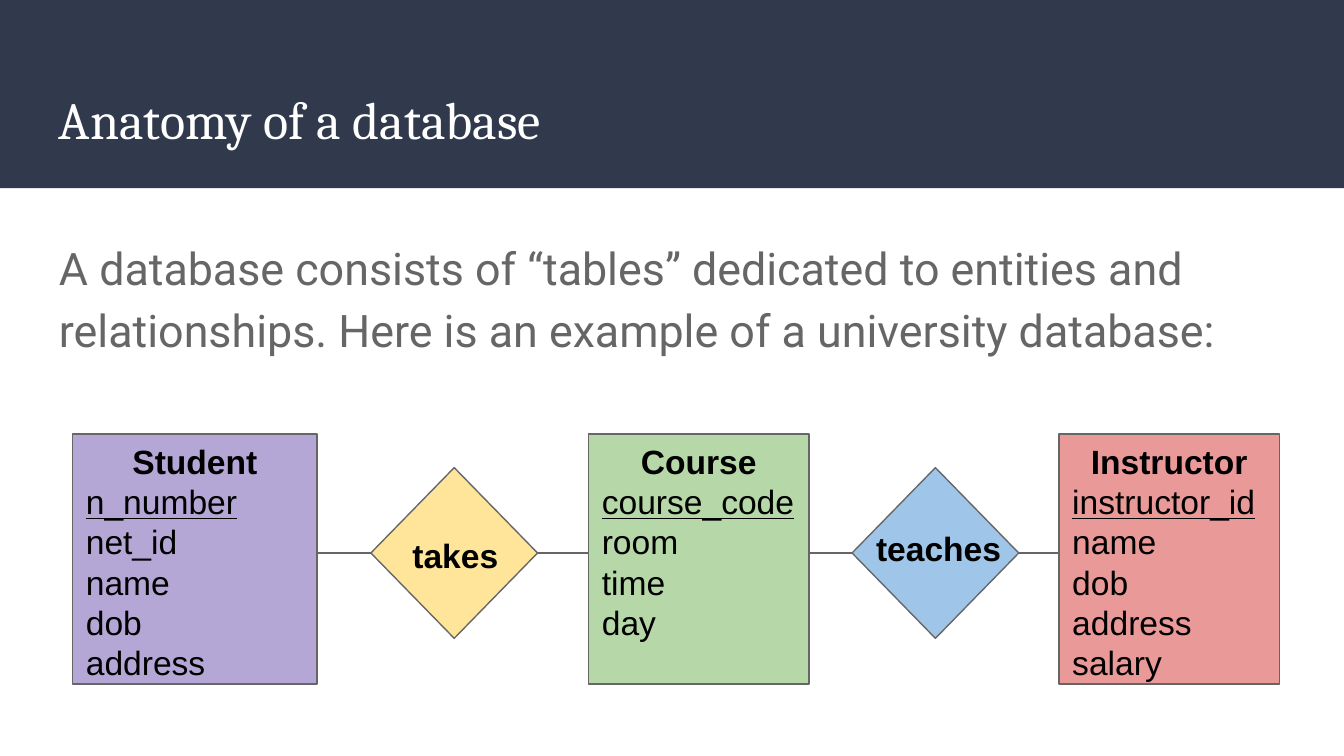
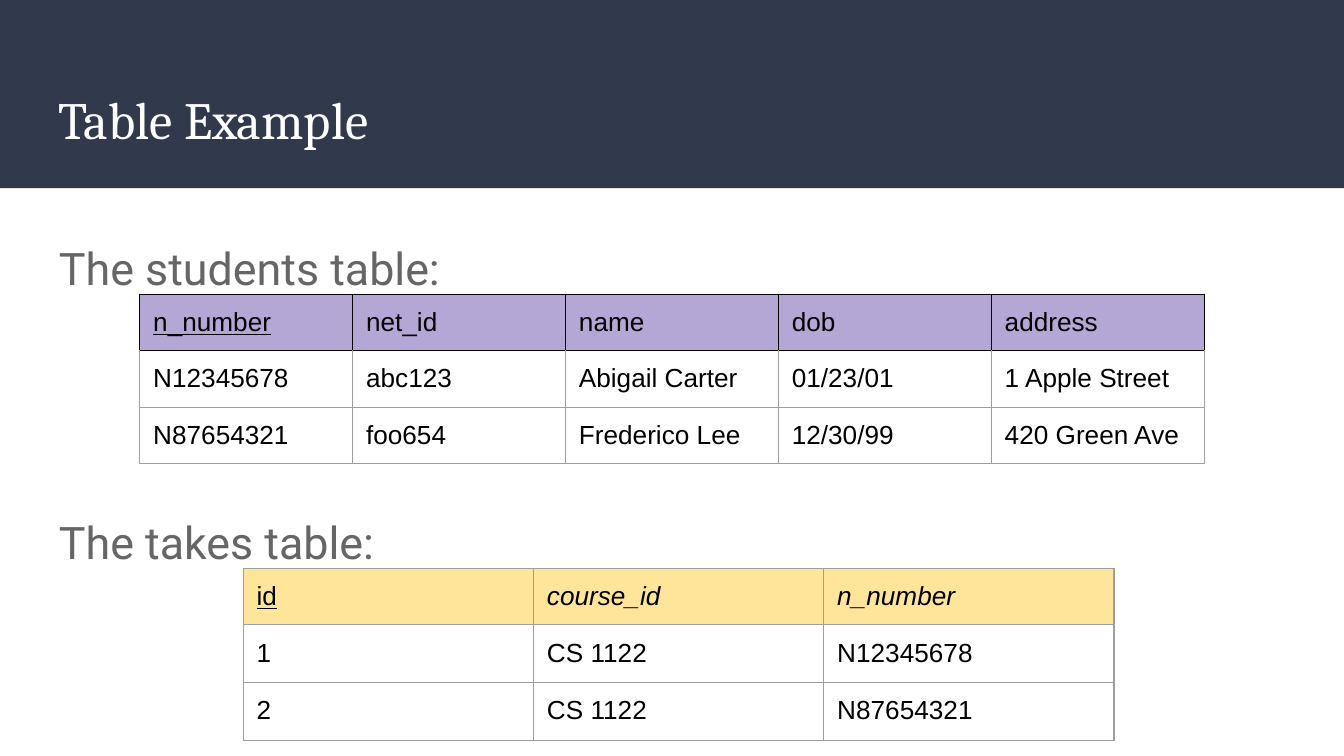
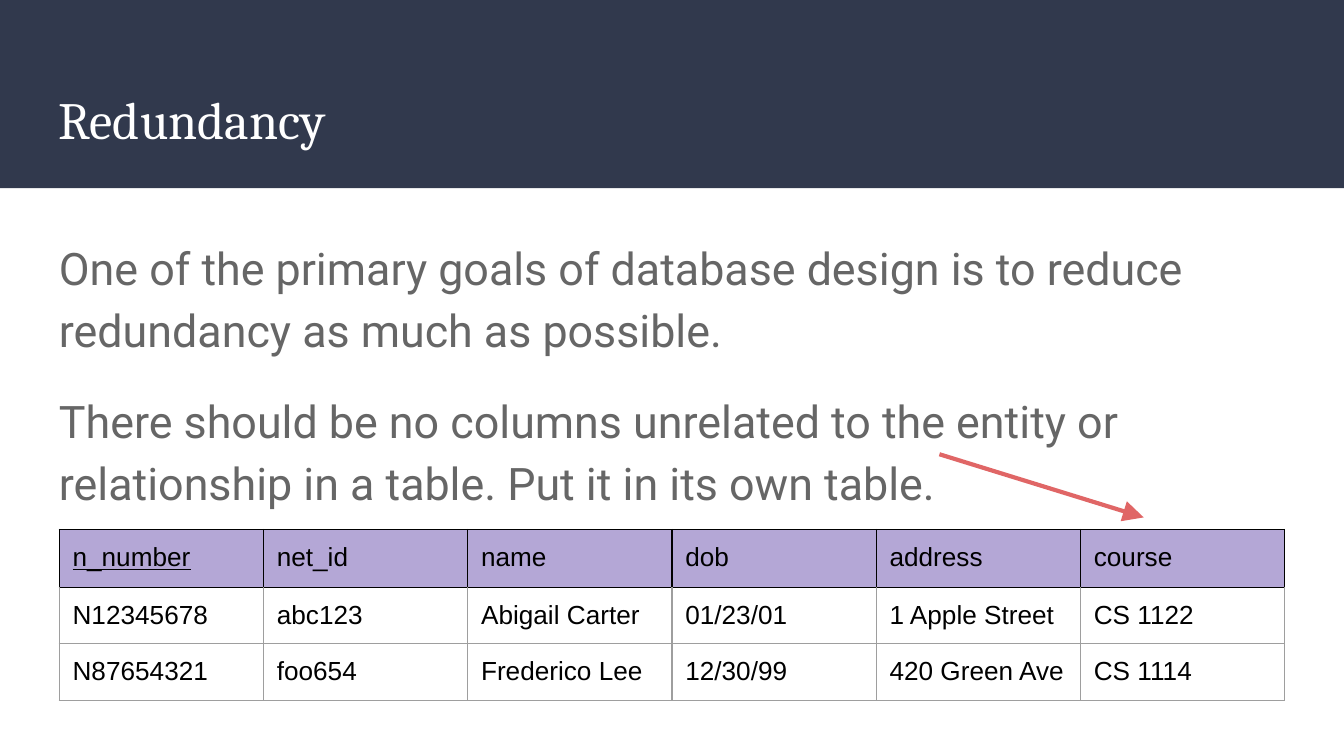
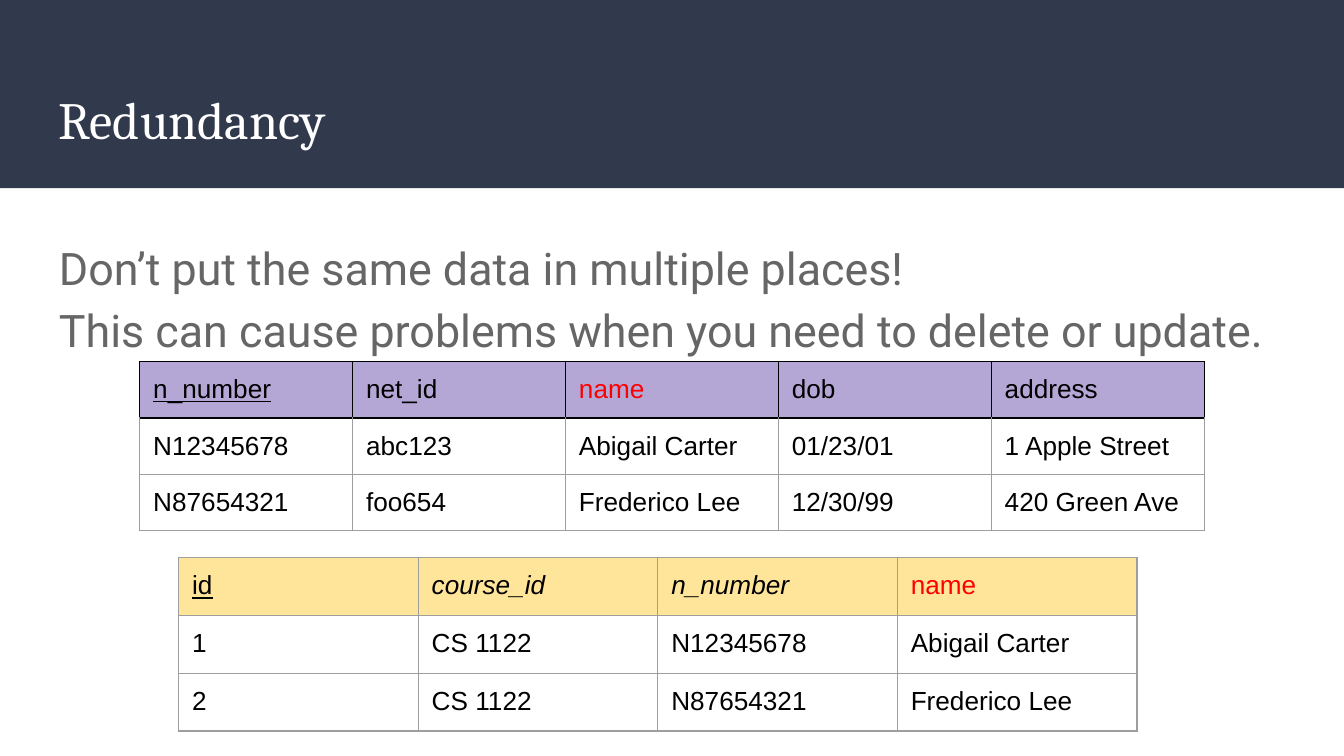
from lxml import etree
from pptx import Presentation
from pptx.dml.color import RGBColor
from pptx.enum.shapes import MSO_CONNECTOR as Connector, MSO_SHAPE as Shape
from pptx.enum.text import PP_ALIGN as Align
from pptx.oxml.ns import qn
from pptx.util import Inches, Pt

# Shared colours
NAVY, WHITE, BLACK, GREY, SILVER = "31394D", "FFFFFF", "000000", "666666", "9E9E9E"
PURPLE, GREEN, PINK, YELLOW, BLUE = "B4A7D6", "B6D7A8", "EA9999", "FFE599", "9FC5E8"
RED, CORAL = "FF0000", "E06666"

# Content: entities are (name, fields, fill, left, width), the first field being the key
ENTITIES = [
    ("Student", ["n_number", "net_id", "name", "dob", "address"], PURPLE, 0.54, 1.82),
    ("Course", ["course_code", "room", "time", "day"], GREEN, 4.38, 1.64),
    ("Instructor", ["instructor_id", "name", "dob", "address", "salary"], PINK, 7.88, 1.64),
]
# Relationships: name, fill, diamond left, label box
RELATIONSHIPS = [
    ("takes", YELLOW, 2.76, (2.97, 3.88, 0.89, 0.68)),
    ("teaches", BLUE, 6.34, (6.42, 3.83, 1.16, 0.68)),
]
ENTITY_TOP, ENTITY_HEIGHT, LABEL_TOP = 3.23, 1.86, 3.18
DIAMOND_TOP, DIAMOND_WIDTH, DIAMOND_HEIGHT = 3.48, 1.24, 1.27

STUDENTS = [
    ["n_number", "net_id", "name", "dob", "address"],
    ["N12345678", "abc123", "Abigail Carter", "01/23/01", "1 Apple Street"],
    ["N87654321", "foo654", "Frederico Lee", "12/30/99", "420 Green Ave"],
]
TAKES = [
    ["id", "course_id", "n_number"],
    ["1", "CS 1122", "N12345678"],
    ["2", "CS 1122", "N87654321"],
]


def with_column(rows, column):
    return [row + [value] for row, value in zip(rows, column)]


STUDENTS_WITH_COURSE = with_column(STUDENTS, ["course", "CS 1122", "CS 1114"])
TAKES_WITH_NAME = with_column(TAKES, [row[2] for row in STUDENTS])

# Table looks: header fill, header border, italic header columns
STUDENT_LOOK = (PURPLE, BLACK, ())
TAKES_LOOK = (YELLOW, SILVER, (1, 2))

# Pages: title, body as (text, space before), and tables as
# (rows, look, left, top, width, row heights, flagged header)
PAGES = [
    ("Anatomy of a database",
     [("A database consists of “tables” dedicated to entities and relationships. "
       "Here is an example of a university database:", 0)],
     []),
    ("Table Example",
     [("The students table:", 0), ("The takes table:", 114)],
     [(STUDENTS, STUDENT_LOOK, 1.04, 2.19, 7.92, (0.42, 0.42, 0.42), None),
      (TAKES, TAKES_LOOK, 1.81, 4.23, 6.48, (0.42, 0.43, 0.43), None)]),
    ("Redundancy",
     [("One of the primary goals of database design is to reduce redundancy "
       "as much as possible.", 0),
      ("There should be no columns unrelated to the entity or relationship in a table. "
       "Put it in its own table.", 16)],
     [(STUDENTS_WITH_COURSE, STUDENT_LOOK, 0.44, 3.94, 9.12, (0.43, 0.42, 0.42), None)]),
    ("Redundancy",
     [("Don’t put the same data in multiple places!", 0),
      ("This can cause problems when you need to delete or update.", 0)],
     [(STUDENTS, STUDENT_LOOK, 1.04, 2.69, 7.92, (0.42, 0.42, 0.42), "name"),
      (TAKES_WITH_NAME, TAKES_LOOK, 1.33, 4.15, 7.13, (0.43, 0.43, 0.43), "name")]),
]


def rgb(color):
    return RGBColor.from_string(color)


def style_text(para, font, size, color, bold=False, italic=False, underline=False):
    for span in para.runs:
        span.font.name, span.font.size = font, Pt(size)
        span.font.color.rgb = rgb(color)
        span.font.bold, span.font.italic, span.font.underline = bold, italic, underline


def set_margins(target, bottom=0.1):
    target.margin_left = target.margin_right = target.margin_top = Inches(0.1)
    target.margin_bottom = Inches(bottom)


def add_text(page, place, lines):
    """Add a text box and return its paragraphs."""
    frame = page.shapes.add_textbox(*map(Inches, place)).text_frame
    frame.word_wrap = True
    set_margins(frame)
    frame.text = "\n".join(lines)
    return frame.paragraphs


def add_block(page, kind, place, fill, outline=None):
    block = page.shapes.add_shape(kind, *map(Inches, place))
    block.shadow.inherit = False
    block.fill.solid()
    block.fill.fore_color.rgb = rgb(fill)
    if outline:
        block.line.color.rgb, block.line.width = rgb(outline), Pt(0.75)
    else:
        block.line.fill.background()


def add_line(page, start, end, color, width, arrow=False):
    line = page.shapes.add_connector(Connector.STRAIGHT, *map(Inches, start + end))
    line.line.color.rgb, line.line.width = rgb(color), Pt(width)
    if arrow:
        etree.SubElement(line.line._get_or_add_ln(), qn("a:tailEnd"),
                         type="triangle", w="lg", len="lg")
    etree.SubElement(line._element.spPr, qn("a:effectLst"))


def set_borders(cell, colors):
    """Draw the left, right, top and bottom borders of a cell."""
    properties = cell._tc.get_or_add_tcPr()
    for index, (side, color) in enumerate(zip("LRTB", colors)):
        border = etree.Element(qn("a:ln" + side), w=str(Pt(0.75)))
        fill = etree.SubElement(border, qn("a:solidFill"))
        etree.SubElement(fill, qn("a:srgbClr"), val=color)
        properties.insert(index, border)


def add_data_table(page, rows, look, left, top, width, heights, flagged):
    header_fill, header_border, italic_columns = look
    place = map(Inches, (left, top, width, sum(heights)))
    table = page.shapes.add_table(len(rows), len(rows[0]), *place).table
    table.first_row = table.horz_banding = False
    for column in table.columns:
        column.width = Inches(width / len(rows[0]))
    for r, values in enumerate(rows):
        table.rows[r].height = Inches(heights[r])
        header = r == 0
        for c, value in enumerate(values):
            cell = table.cell(r, c)
            set_margins(cell, bottom=0.08)  # keeps the rows from growing
            cell.text_frame.text = value
            style_text(cell.text_frame.paragraphs[0], "Arial", 14,
                       RED if header and value == flagged else BLACK,
                       italic=header and c in italic_columns,
                       underline=header and c == 0)
            if header:
                cell.fill.solid()
                cell.fill.fore_color.rgb = rgb(header_fill)
            else:
                cell.fill.background()
            side = header_border if header else SILVER
            above = header_border if r <= 1 else SILVER
            set_borders(cell, (side, side, above, side))


def add_page(deck, title, body):
    """Add a page with the title band and the body text."""
    page = deck.slides.add_slide(deck.slide_layouts[6])
    add_block(page, Shape.RECTANGLE, (0, 0, 10, 1.4), NAVY)
    heading = add_text(page, (0.34, 0.55, 9.32, 0.68), [title])
    style_text(heading[0], "Cambria", 28, WHITE)
    paras = add_text(page, (0.34, 1.63, 9.29, 3.77), [text for text, _ in body])
    for para, (_, before) in zip(paras, body):
        para.line_spacing, para.space_before = 1.15, Pt(before)
        style_text(para, "Roboto", 24, GREY)
    return page


def add_entity_diagram(page):
    for name, fields, fill, left, width in ENTITIES:
        add_block(page, Shape.RECTANGLE, (left, ENTITY_TOP, width, ENTITY_HEIGHT), fill, GREY)
        paras = add_text(page, (left, LABEL_TOP, width, ENTITY_HEIGHT), [name] + fields)
        paras[0].alignment = Align.CENTER
        for index, para in enumerate(paras):
            style_text(para, "Arial", 18, BLACK, bold=index == 0, underline=index == 1)

    # Each diamond links the entities on either side of it
    middle = DIAMOND_TOP + DIAMOND_HEIGHT / 2
    for relationship, before, after in zip(RELATIONSHIPS, ENTITIES, ENTITIES[1:]):
        name, fill, left, label_place = relationship
        right = left + DIAMOND_WIDTH
        add_block(page, Shape.DIAMOND, (left, DIAMOND_TOP, DIAMOND_WIDTH, DIAMOND_HEIGHT),
                  fill, GREY)
        style_text(add_text(page, label_place, [name])[0], "Arial", 18, BLACK, bold=True)
        for start, end in ((before[3] + before[4], left), (right, after[3])):
            add_line(page, (start, middle), (end, middle), GREY, 0.75)


def main():
    deck = Presentation()
    deck.slide_width = Inches(10)
    deck.slide_height = Inches(10 * 9 / 16)
    pages = []
    for title, body, tables in PAGES:
        page = add_page(deck, title, body)
        for table in tables:
            add_data_table(page, *table)
        pages.append(page)
    add_entity_diagram(pages[0])
    # Arrow to the unrelated course column
    add_line(pages[2], (6.99, 3.38), (8.51, 3.85), CORAL, 2.25, arrow=True)
    deck.save("out.pptx")


if __name__ == "__main__":
    main()
